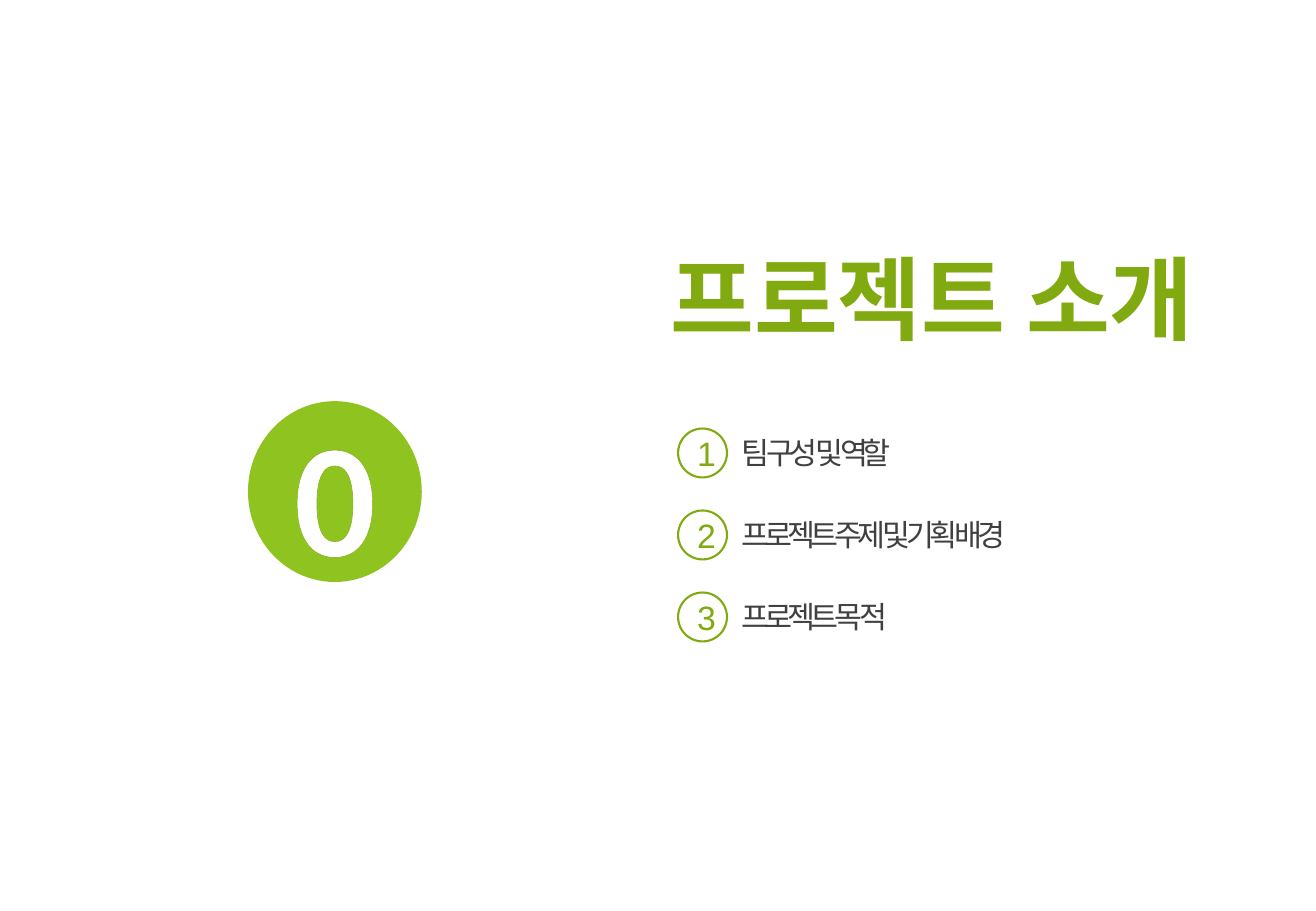
import pptx
import pptx.util
import pptx.dml.color
import pptx.enum.shapes
import pptx.enum.text
import pptx.oxml
import pptx.oxml.ns

Pt = pptx.util.Pt
RGB = pptx.dml.color.RGBColor
ANCHOR = pptx.enum.text.MSO_ANCHOR
ALIGN = pptx.enum.text.PP_ALIGN
AUTO = pptx.enum.text.MSO_AUTO_SIZE

# Content
TITLE = "프로젝트 소개"
CHAPTER = "0"
TOPICS = ["팀 구성  및 역할", "프로젝트 주제 및 기획 배경", "프로젝트 목 적"]

# Colours
GREEN = RGB(0x81, 0xAA, 0x11)
LIME = RGB(0x8F, 0xC3, 0x1F)
GRAY = RGB(0x40, 0x40, 0x40)
WHITE = RGB(0xFF, 0xFF, 0xFF)

# Layout in points
TOPIC_TOP, TOPIC_STEP = 254, 48.6
RING_LEFT, RING_SIZE = 401.9, 29
LABEL_LEFT, LABEL_WIDTH = 432.5, 304

prs = pptx.Presentation()
prs.slide_width, prs.slide_height = Pt(780), Pt(540)
s = prs.slides.add_slide(prs.slide_layouts[6])


def write(tf, text, size, color, font="Arial", bold=False):
    p = tf.paragraphs[0]
    r = p.add_run()
    r.text = text
    p.font.size, p.font.name, p.font.bold = Pt(size), font, bold
    p.font.color.rgb = color
    return p, r


def add_label(x, y, w, h, text, size, color, wrap=True, bold=False):
    tf = s.shapes.add_textbox(Pt(x), Pt(y), Pt(w), Pt(h)).text_frame
    tf.word_wrap = wrap
    tf.auto_size = AUTO.SHAPE_TO_FIT_TEXT
    return write(tf, text, size, color, bold=bold)[1]


def add_circle(x, y, w, h, text, size, color, font="Arial", bold=False):
    sp = s.shapes.add_shape(pptx.enum.shapes.MSO_SHAPE.OVAL,
                            Pt(x), Pt(y), Pt(w), Pt(h))
    sp.shadow.inherit = False
    sp.text_frame.vertical_anchor = ANCHOR.MIDDLE
    p, r = write(sp.text_frame, text, size, color, font, bold)
    p.alignment = ALIGN.CENTER
    return sp, r


# Title
add_label(390.2, 140.4, 357, 72.7, TITLE, 54, GREEN, wrap=False, bold=True)

# Chapter number with outlined digit
sp, r = add_circle(147, 237.8, 103, 107.2, CHAPTER, 96, WHITE, "Calibri", True)
sp.fill.solid()
sp.fill.fore_color.rgb = LIME
sp.line.fill.background()
r.font._element.insert(0, pptx.oxml.parse_xml(
    f'<a:ln {pptx.oxml.ns.nsdecls("a")} w="10160"><a:solidFill>'
    '<a:srgbClr val="7EA80A"/></a:solidFill></a:ln>'))

# Numbered topics
for i, topic in enumerate(TOPICS):
    y = TOPIC_TOP + i * TOPIC_STEP
    r = add_label(LABEL_LEFT, y, LABEL_WIDTH, RING_SIZE, topic, 18, GRAY)
    r.font._element.set("spc", "-300")
    ring, _ = add_circle(RING_LEFT, y, RING_SIZE, RING_SIZE, str(i + 1), 20, GREEN)
    ring.fill.background()
    ring.line.color.rgb = GREEN
    ring.line.width = Pt(1.25)

prs.save("out.pptx")
